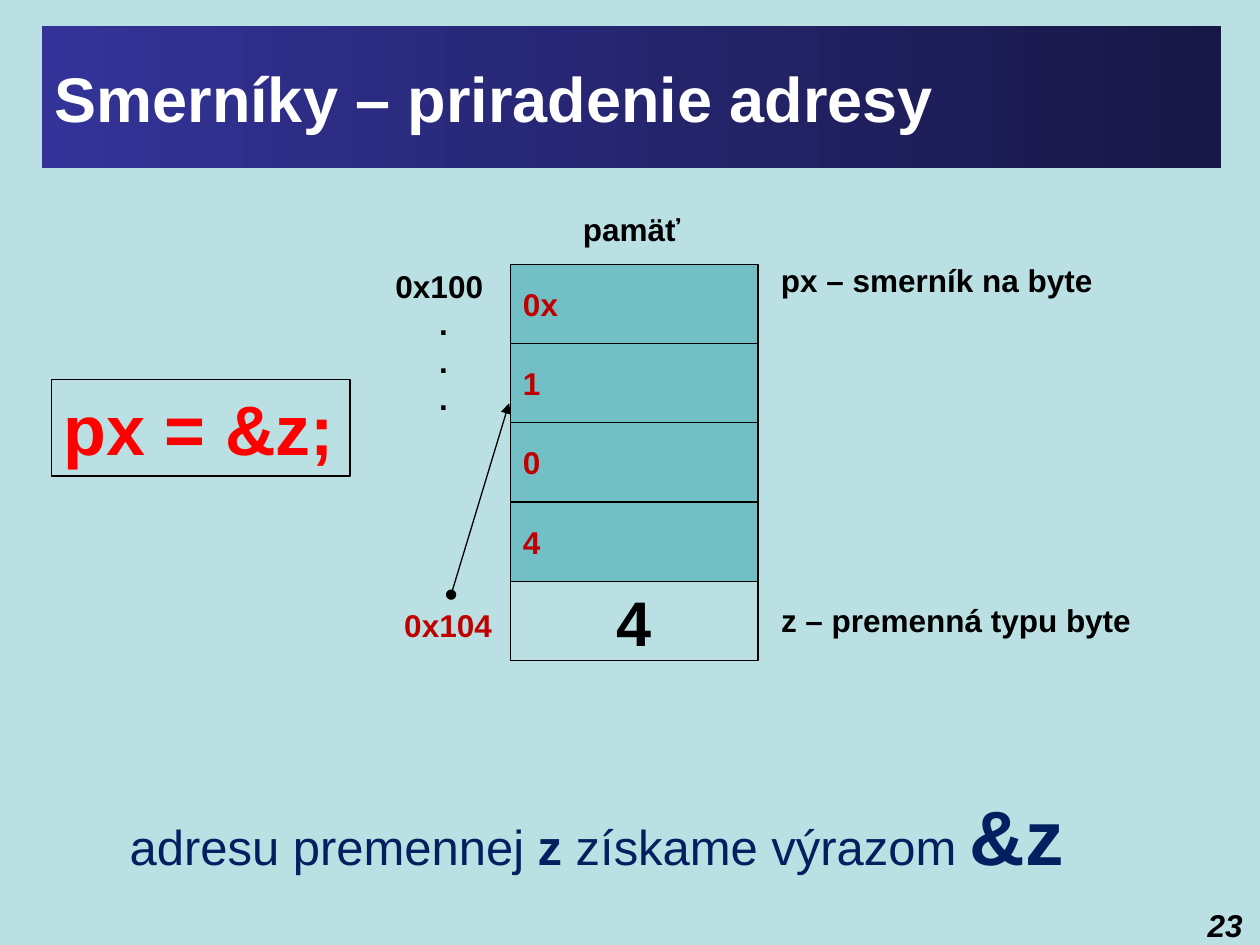
from pptx import Presentation
from pptx.dml.color import RGBColor
from pptx.enum.dml import MSO_LINE
from pptx.enum.shapes import MSO_CONNECTOR, MSO_SHAPE
from pptx.enum.text import MSO_ANCHOR, PP_ALIGN
from pptx.oxml.ns import qn
from pptx.util import Pt
from lxml import etree

RECT, STRAIGHT, SOLID = MSO_SHAPE.RECTANGLE, MSO_CONNECTOR.STRAIGHT, MSO_LINE.SOLID
TOP, MIDDLE = MSO_ANCHOR.TOP, MSO_ANCHOR.MIDDLE
LEFT, CENTER, RIGHT = PP_ALIGN.LEFT, PP_ALIGN.CENTER, PP_ALIGN.RIGHT

PAPER, TEAL, BLACK, RED, NAVY = "BBE0E3", "72BFC5", "000000", "C00000", "002060"
TITLE = "Smerníky – priradenie adresy"
TITLE_STOPS = ["333399", "171746"]
LABELS = [
    ("px – smerník na byte", 439.2, 145.4, 194.4),
    ("z – premenná typu byte", 439.2, 340, 216.7),
    ("pamäť", 326, 116.6, 70.6),
]
CELLS = [
    ("0x", TEAL, RED, 18, LEFT),
    ("1", TEAL, RED, 18, LEFT),
    ("0", TEAL, RED, 18, LEFT),
    ("4", TEAL, RED, 18, LEFT),
    ("4", PAPER, BLACK, 36, CENTER),
]
CELL_X, CELL_Y, CELL_W, CELL_H = 291.8, 151, 141.4, 45.3
ADDRESSES = ["0x100", ".", ".", "."]
ADDRESS_X, ADDRESS_Y, ADDRESS_W, ADDRESS_PITCH = 218.9, 149, 73.4, 21.5
SUMMARY = [
    ("adresu premennej ", {"size": Pt(28), "bold": False}),
    ("z ", {"size": Pt(28)}),
    ("získame výrazom ", {"size": Pt(28), "bold": False}),
    ("&z", {"size": Pt(44)}),
]


def color(value):
    return RGBColor.from_string(value)


def add_run(p, text, rgb, **fmt):
    r = p.add_run()
    r.text = text
    for name, value in {"name": "Arial", "size": Pt(18), "bold": True, **fmt}.items():
        setattr(r.font, name, value)
    r.font.color.rgb = color(rgb)


def set_frame(sp, wrap, anchor=TOP, align=LEFT):
    tf = sp.text_frame
    tf.word_wrap = wrap
    tf.vertical_anchor = anchor
    tf.paragraphs[0].alignment = align
    return tf


def add_text(s, box, text, rgb=BLACK, wrap=False, align=LEFT, **fmt):
    sp = s.shapes.add_textbox(*map(Pt, box))
    tf = set_frame(sp, wrap, align=align)
    if text:
        add_run(tf.paragraphs[0], text, rgb, **fmt)
    return sp


def outline(sp):
    sp.line.color.rgb = color(BLACK)
    sp.line.width = Pt(0.75)


def add_cell(s, i, text, fill, rgb, size, align):
    sp = s.shapes.add_shape(RECT, Pt(CELL_X), Pt(CELL_Y + i * CELL_H), Pt(CELL_W), Pt(CELL_H))
    sp.shadow.inherit = False
    sp.fill.solid()
    sp.fill.fore_color.rgb = color(fill)
    outline(sp)
    tf = set_frame(sp, True, MIDDLE, align)
    add_run(tf.paragraphs[0], text, rgb, size=Pt(size))


def add_pointer(s, start, end):
    line = s.shapes.add_connector(STRAIGHT, *map(Pt, start + end))
    outline(line)
    ln = line.line._get_or_add_ln()
    for tag, kind in (("a:headEnd", "oval"), ("a:tailEnd", "triangle")):
        etree.SubElement(ln, qn(tag), type=kind)
    etree.SubElement(line._element.spPr, qn("a:effectLst"))


def add_title(s):
    sp = s.shapes.title
    sp.left, sp.top, sp.width, sp.height = map(Pt, (24, 15, 674, 81))
    sp.fill.gradient()
    sp.fill.gradient_angle = 0
    for stop, rgb in zip(sp.fill.gradient_stops, TITLE_STOPS):
        stop.color.rgb = color(rgb)
    tf = set_frame(sp, True, MIDDLE)
    add_run(tf.paragraphs[0], TITLE, "FFFFFF", size=Pt(36))


def add_addresses(s):
    box = (ADDRESS_X, ADDRESS_Y, ADDRESS_W, 94)
    tf = add_text(s, box, "", wrap=True).text_frame
    for i, text in enumerate(ADDRESSES):
        p = tf.add_paragraph() if i else tf.paragraphs[0]
        p.line_spacing = Pt(ADDRESS_PITCH)
        if text == ".":
            p._p.get_or_add_pPr().set("marL", str(Pt(25)))
        add_run(p, text, BLACK)
    y = ADDRESS_Y + 9 * ADDRESS_PITCH
    add_text(s, (ADDRESS_X + 5, y, ADDRESS_W - 5, 28.8), "0x104", RED, wrap=True)


def main():
    prs = Presentation()
    prs.slide_width, prs.slide_height = Pt(720), Pt(540)
    s = prs.slides.add_slide(prs.slide_layouts[5])
    s.background.fill.solid()
    s.background.fill.fore_color.rgb = color(PAPER)

    add_title(s)
    add_text(s, (679, 514, 38.2, 22.3), "23", wrap=True, align=RIGHT, italic=True)
    for i, cell in enumerate(CELLS):
        add_cell(s, i, *cell)
    add_pointer(s, (257.8, 339.8), (290.9, 230.4))
    for text, x, y, w in LABELS:
        add_text(s, (x, y, w, 28.8), text)
    outline(add_text(s, (29.5, 216.7, 170.6, 55.4), "px = &z;", "FF0000", size=Pt(40)))
    add_addresses(s)

    tf = add_text(s, (67, 452.9, 576.7, 55.4), "", wrap=True).text_frame
    p = tf.paragraphs[0]
    p.line_spacing = 0.9
    for text, fmt in SUMMARY:
        add_run(p, text, NAVY, **fmt)
    prs.save("out.pptx")


if __name__ == "__main__":
    main()
